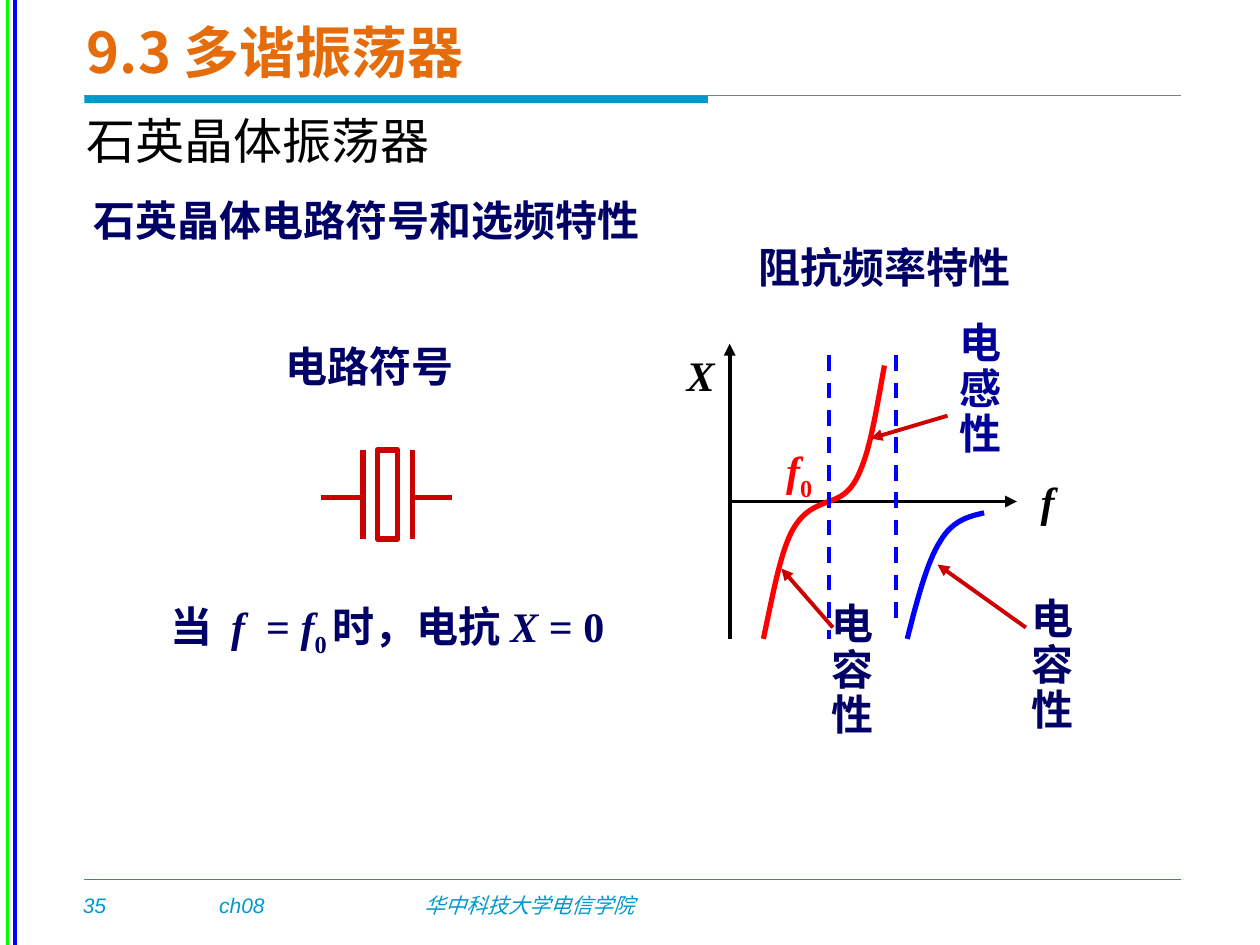
from lxml import etree
from pptx import Presentation
from pptx.dml.color import RGBColor
from pptx.enum import dml, shapes, text
from pptx.oxml.ns import qn
from pptx.util import Cm, Pt

WHITE = RGBColor(0xFF, 0xFF, 0xFF)
BLACK = RGBColor(0, 0, 0)
NAVY = RGBColor(0, 0, 0x66)
INDIGO = RGBColor(0, 0, 0x99)
BLUE = RGBColor(0, 0, 0xFF)
GREEN = RGBColor(0, 0xFF, 0)
RED = RGBColor(0xFF, 0, 0)
CRIMSON = RGBColor(0xCC, 0, 0)
TEAL = RGBColor(0, 0x99, 0xCC)
GRAY = RGBColor(0x80, 0x80, 0x80)
ORANGE = RGBColor(0xE4, 0x6C, 0x0A)

CJK, SERIF, SANS = "Noto Sans CJK SC", "Times New Roman", "Arial"
WIDTH, HEIGHT = 25.4, 19.05
LEFT, RIGHT = 1.7, 23.8
AXIS_X, AXIS_Y, RESONANCE_X = 14.71, 10.11, 16.71
CURVE_BOTTOM = 12.88
PLATE_TOP, PLATE_BOTTOM, LEAD_Y = 9.07, 10.87, 10.03

# at, lines, size, font, colour, style, wrap, anchored in the middle
LABELS = [
    ((1.5, 0.13, 18.31, 1.8), ["9.3 多谐振荡器"], 32, CJK, ORANGE, "b", True, True),
    ((1.5, 2.11, 7.49, 1.45), ["石英晶体振荡器"], 28, CJK, BLACK, "", False, False),
    ((1.63, 3.56, 18.21, 1.75), ["石英晶体电路符号和选频特性"], 24, "DejaVu Sans", NAVY, "b", True, True),
    ((5.51, 6.73, 4.11, 1.27), ["电路符号"], 24, SERIF, NAVY, "b", False, True),
    ((15.04, 4.75, 5.84, 1.27), ["阻抗频率特性"], 24, CJK, NAVY, "b", False, True),
    ((20.73, 9.47, 1.37, 1.27), ["f"], 24, SERIF, BLACK, "bi", True, False),
    ((13.59, 6.93, 1.07, 1.27), ["X"], 24, SERIF, BLACK, "bi", False, False),
    ((19.1, 6.38, 1.4, 3.02), list("电感性"), 24, SERIF, INDIGO, "b", False, False),
    ((16.51, 12.04, 1.4, 3.02), list("电容性"), 24, SERIF, NAVY, "b", True, False),
    ((20.55, 11.94, 1.4, 3.02), list("电容性"), 24, SERIF, NAVY, "b", True, False),
    ((15.6, 8.84, 1.37, 1.27), [[("f", "i"), ("0", "sub")]], 24, SERIF, RED, "b", True, False),
    ((3.18, 11.99, 10.21, 1.27),
     [[("当  ", ""), ("f  ", "i"), ("= ", ""), ("f", "i"), ("0 ", "sub"),
       ("时，电抗 ", ""), ("X ", "i"), ("= 0", "")]], 24, SERIF, NAVY, "b", True, False),
    ((1.42, 17.86, 1.04, 0.76), ["35"], 12, SANS, TEAL, "i", False, False),
    ((4.17, 17.86, 2.03, 0.76), ["ch08"], 12, SANS, TEAL, "i", True, False),
    ((8.31, 17.86, 6.73, 0.76), ["华中科技大学电信学院"], 12, SANS, TEAL, "i", True, False),
]

# start, end, colour, width, ending
FRAME = [
    ((0.3, 0), (0.3, HEIGHT), BLUE, 2, ""),
    ((0.15, 0), (0.15, HEIGHT), GREEN, 2, ""),
    ((LEFT, 1.93), (RIGHT, 1.93), GRAY, 0.5, ""),
    ((LEFT, 17.73), (RIGHT, 17.73), TEAL, 1, ""),
]
AXES = [
    ((AXIS_X, AXIS_Y), (20.5, AXIS_Y), BLACK, 2.25, "arrow"),
    ((AXIS_X, CURVE_BOTTOM), (AXIS_X, 6.93), BLACK, 2.25, "arrow"),
]
ASYMPTOTES = [
    ((18.06, 7.16), (18.06, 12.65), BLUE, 2.25, "dash"),
    ((RESONANCE_X, 7.16), (RESONANCE_X, CURVE_BOTTOM), BLUE, 2.25, "dash"),
]
CRYSTAL = [
    ((6.48, LEAD_Y), (7.32, LEAD_Y), CRIMSON, 3, ""),
    ((7.32, PLATE_BOTTOM), (7.32, PLATE_TOP), CRIMSON, 3, ""),
    ((8.31, PLATE_BOTTOM), (8.31, PLATE_TOP), CRIMSON, 3, ""),
    ((8.31, LEAD_Y), (9.12, LEAD_Y), CRIMSON, 3, ""),
]
POINTERS = [
    ((19.1, 8.38), (17.55, 8.84), CRIMSON, 2.25, "arrow"),
    ((16.79, 12.65), (15.75, 11.46), CRIMSON, 2.25, "arrow"),
    ((20.68, 12.65), (18.9, 11.38), CRIMSON, 2.25, "arrow"),
]
REACTANCE = [
    (RED, [(RESONANCE_X, AXIS_Y), (16.46, 10.21), (16.18, 10.29), (15.95, 10.74),
           (15.72, 11.2), (15.57, 12.04), (15.39, CURVE_BOTTOM)]),
    (RED, [(RESONANCE_X, AXIS_Y), (16.94, 10.03), (17.17, 9.93), (17.35, 9.47),
           (17.55, 9.02), (17.68, 8.2), (17.83, 7.37)]),
    (BLUE, [(19.84, 10.34), (19.53, 10.41), (19.2, 10.49), (18.95, 10.92),
            (18.69, 11.33), (18.49, 12.09), (18.29, CURVE_BOTTOM)]),
]

deck = Presentation()
deck.slide_width, deck.slide_height = Cm(WIDTH), Cm(HEIGHT)
slide = deck.slides.add_slide(deck.slide_layouts[6])


def add_lines(rows):
    for start, end, colour, width, ending in rows:
        line = slide.shapes.add_connector(
            shapes.MSO_CONNECTOR.STRAIGHT, *map(Cm, start + end))
        line.line.color.rgb = colour
        line.line.width = Pt(width)
        if ending == "dash":
            line.line.dash_style = dml.MSO_LINE.DASH
        if ending == "arrow":
            etree.SubElement(line.line._get_or_add_ln(), qn("a:tailEnd"), type="triangle")
        etree.SubElement(line._element.spPr, qn("a:effectLst"))


def add_box(at, fill, outline=None):
    box = slide.shapes.add_shape(shapes.MSO_SHAPE.RECTANGLE, *map(Cm, at))
    box.shadow.inherit = False
    box.fill.solid()
    box.fill.fore_color.rgb = fill
    if outline is None:
        box.line.fill.background()
    else:
        box.line.color.rgb = outline
        box.line.width = Pt(3)


def curve_points(controls, steps=16):
    points = [controls[0]]
    for i in range(0, len(controls) - 1, 3):
        for step in range(1, steps + 1):
            t = step / steps
            weights = ((1 - t) ** 3, 3 * t * (1 - t) ** 2, 3 * t * t * (1 - t), t ** 3)
            points.append(tuple(sum(w * c[axis] for w, c in zip(weights, controls[i:i + 4]))
                                for axis in (0, 1)))
    return [(Cm(x), Cm(y)) for x, y in points]


def add_curve(colour, controls):
    start, *rest = curve_points(controls)
    outline = slide.shapes.build_freeform(*start)
    outline.add_line_segments(rest, close=False)
    curve = outline.convert_to_shape()
    curve.shadow.inherit = False
    curve.fill.background()
    curve.line.color.rgb = colour
    curve.line.width = Pt(3)


def add_label(at, lines, size, font, colour, style, wrap, middle):
    frame = slide.shapes.add_textbox(*map(Cm, at)).text_frame
    frame.word_wrap = wrap
    frame.vertical_anchor = text.MSO_ANCHOR.MIDDLE if middle else text.MSO_ANCHOR.TOP
    for i, content in enumerate(lines):
        paragraph = frame.add_paragraph() if i else frame.paragraphs[0]
        if len(lines) > 1:
            paragraph.line_spacing = 0.9
        paragraph.font.size = Pt(size)
        paragraph.font.name = font
        paragraph.font.color.rgb = colour
        paragraph.font.bold = "b" in style
        paragraph.font.italic = "i" in style
        for words, look in [(content, "")] if isinstance(content, str) else content:
            run = paragraph.add_run()
            run.text = words
            if look == "i":
                run.font.italic = True
            if look == "sub":
                run.font._element.set("baseline", "-25000")


add_lines(FRAME)
add_box((LEFT, 1.93, 12.57, 0.15), TEAL)
add_lines(AXES)
for colour, controls in REACTANCE:
    add_curve(colour, controls)
add_lines(ASYMPTOTES + CRYSTAL)
add_box((7.61, PLATE_TOP, 0.41, PLATE_BOTTOM - PLATE_TOP), WHITE, CRIMSON)
for label in LABELS:
    add_label(*label)
add_lines(POINTERS)
deck.save("out.pptx")
